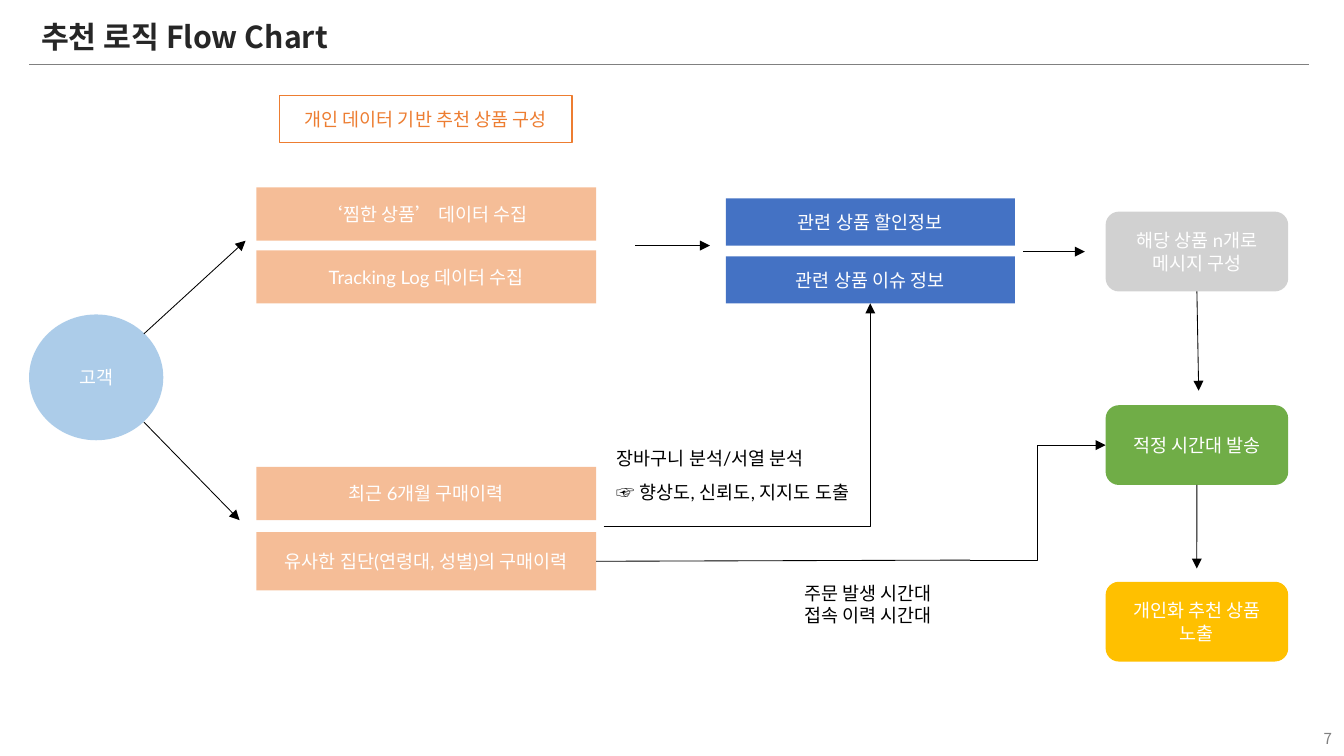
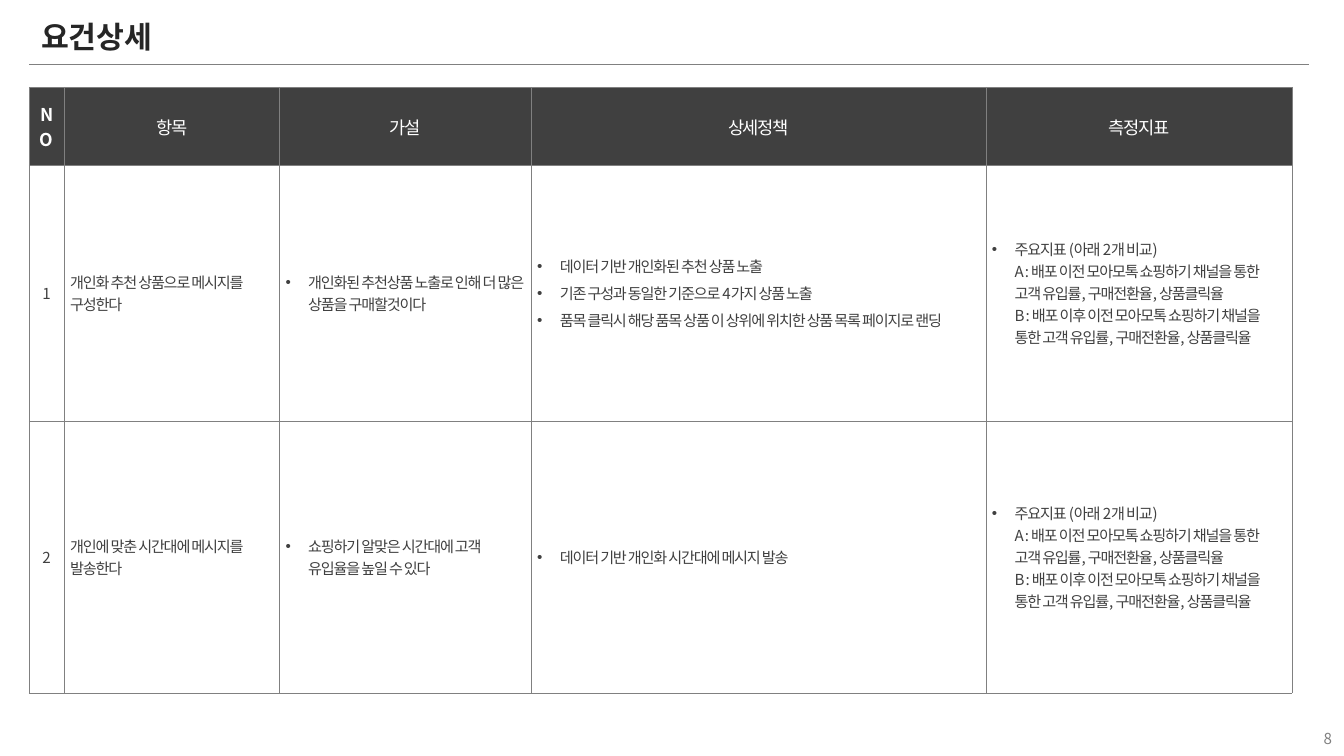
"""Build the recommendation flow chart and requirement detail slides."""
from copy import deepcopy
from dataclasses import dataclass
from typing import NamedTuple, Optional

from lxml.etree import SubElement
from pptx import Presentation
from pptx.dml.color import RGBColor
from pptx.enum.shapes import MSO_CONNECTOR as Connector, MSO_SHAPE as Preset
from pptx.enum.text import MSO_ANCHOR as Anchor, MSO_AUTO_SIZE as AutoSize, PP_ALIGN as Align
from pptx.oxml.ns import qn
from pptx.util import Pt

WHITE = RGBColor(0xFF, 0xFF, 0xFF)
BLACK = RGBColor(0x00, 0x00, 0x00)
TITLE_INK = RGBColor(0x26, 0x26, 0x26)
CELL_INK = RGBColor(0x40, 0x40, 0x40)
GRAY = RGBColor(0x80, 0x80, 0x80)
SILVER = RGBColor(0xA5, 0xA5, 0xA5)
SKY = RGBColor(0x5B, 0x9B, 0xD5)
ORANGE = RGBColor(0xED, 0x7D, 0x31)
BLUE = RGBColor(0x44, 0x72, 0xC4)
GOLD = RGBColor(0xFF, 0xC0, 0x00)
GREEN = RGBColor(0x70, 0xAD, 0x47)

LATIN_FONT = "Lato"
KOREAN_FONT = "Noto Sans CJK KR"
LEFT = 17.3
TOP, LEFT_SIDE, BOTTOM, RIGHT_SIDE = range(4)


class TextStyle(NamedTuple):
    """Character formatting of a run."""
    size: float
    color: RGBColor
    font: str = KOREAN_FONT
    bold: bool = False
    spacing: int = 0


TITLE = TextStyle(18, TITLE_INK, bold=True)
PAGE_NUMBER = TextStyle(9, GRAY)
NOTE = TextStyle(11, BLACK, LATIN_FONT)
NODE = TextStyle(11, WHITE, LATIN_FONT)
HEADING = TextStyle(11, ORANGE, LATIN_FONT)
HEADER_CELL = TextStyle(10.5, WHITE, spacing=-70)
NUMBER_HEADER = HEADER_CELL._replace(bold=True)
BODY_CELL = TextStyle(9, CELL_INK, spacing=-70)


@dataclass
class Node:
    """A labelled box of the flow chart."""
    key: str
    text: str
    left: float
    top: float
    width: float
    height: float
    fill: Optional[RGBColor]
    preset: Preset = Preset.RECTANGLE
    half_clear: bool = False
    style: TextStyle = NODE


@dataclass
class Link:
    """A connector, optionally joined to node sides."""
    start: tuple[float, float]
    end: tuple[float, float]
    begin_at: Optional[tuple[str, int]] = None
    end_at: Optional[tuple[str, int]] = None
    elbow: str = ""
    arrow: bool = True


class Label(NamedTuple):
    """A free text box."""
    text: str
    left: float
    top: float
    width: float
    height: float


class Requirement(NamedTuple):
    """One row of the requirement table."""
    number: str
    item: str
    hypothesis: str
    policies: str
    metrics: tuple[str, ...]


def source(key: str, text: str, top: float, height: float = 31.7) -> Node:
    """Return a data source box."""
    return Node(key, text, 152.6, top, 202.3, height, ORANGE, half_clear=True)


def related(key: str, text: str, top: float) -> Node:
    """Return a related product box."""
    return Node(key, text, 432, top, 172.1, 28.1, BLUE)


def delivery(key: str, text: str, top: float, fill: RGBColor, half_clear: bool = False) -> Node:
    """Return a rounded delivery box."""
    return Node(key, text, 658.1, top, 108.7, 47.5, fill, Preset.ROUNDED_RECTANGLE, half_clear)


NODES = [
    Node("customer", "고객", LEFT, 187.2, 79.9, 74.9, SKY, Preset.OVAL, True),
    Node("heading", "개인 데이터 기반 추천 상품 구성", 166.3, 56.9, 174.2, 28.1, None, style=HEADING),
    source("wished", "‘찜한 상품’ 데이터 수집", 111.6),
    source("tracking", "Tracking Log 데이터 수집", 149),
    source("recent", "최근 6개월 구매이력", 277.9),
    source("similar", "유사한 집단(연령대, 성별)의 구매이력", 316.8, 34.6),
    related("discount", "관련 상품 할인정보", 118.1),
    related("issue", "관련 상품 이슈 정보", 152.6),
    delivery("message", "해당 상품 n개로 메시지 구성", 126, SILVER, True),
    delivery("send", "적정 시간대 발송", 241.2, GREEN),
    delivery("exposure", "개인화 추천 상품 노출", 346.3, GOLD),
]
LINKS = [
    Link((85.7, 198.7), (146.2, 143.3)),
    Link((85.7, 251.3), (142.6, 309.6)),
    Link((378, 146.2), (422.6, 146.2)),
    Link((609.1, 149.8), (645.8, 149.8)),
    Link((359.3, 313.2), (518, 180.7), end_at=("issue", BOTTOM), elbow="bentConnector2"),
    Link((354.9, 334.1), (577.4, 333.4), begin_at=("similar", RIGHT_SIDE), arrow=False),
    Link((577.4, 333.4), (658.1, 265), end_at=("send", LEFT_SIDE), elbow="bentConnector3"),
    Link((712.4, 173.5), (713.5, 232.6), begin_at=("message", BOTTOM)),
    Link((712.4, 288.7), (712.4, 338.4), begin_at=("send", BOTTOM)),
]
LABELS = [
    Label("장바구니 분석/서열 분석", 360, 262.8, 195.8, 20.9),
    Label("☞ 향상도, 신뢰도, 지지도 도출", 360, 283, 222.5, 20.9),
    Label("주문 발생 시간대\n접속 이력 시간대", 471.6, 342.7, 161.3, 33.8),
]

COLUMN_WIDTHS = [20.9, 128.2, 149.8, 270.7, 182.2]
ROW_HEIGHTS = [46.8, 151.9, 162]
HEADERS = ["NO", "항목", "가설", "상세정책", "측정지표"]
METRICS = (
    "주요지표 (아래 2개 비교)",
    "A : 배포 이전 모아모톡 쇼핑하기 채널을 통한 고객 유입률, 구매전환율, 상품클릭율",
    "B : 배포 이후 이전 모아모톡 쇼핑하기 채널을 통한 고객 유입률, 구매전환율, 상품클릭율",
)
REQUIREMENTS = [
    Requirement(
        "1",
        "개인화 추천 상품으로 메시지를 구성한다",
        "개인화된 추천상품 노출로 인해 더 많은 상품을 구매할것이다",
        "데이터 기반 개인화된 추천 상품 노출\n"
        "기존 구성과 동일한 기준으로 4가지 상품 노출\n"
        "품목 클릭시 해당 품목 상품 이 상위에 위치한 상품 목록 페이지로 랜딩",
        METRICS,
    ),
    Requirement(
        "2",
        "개인에 맞춘 시간대에 메시지를 발송한다",
        "쇼핑하기 알맞은 시간대에 고객 유입율을 높일 수 있다",
        "데이터 기반 개인화 시간대에 메시지 발송",
        METRICS,
    ),
]


def format_text(text_frame, style: TextStyle, align: Align = Align.LEFT) -> None:
    """Apply a text style to every run and line break."""
    for paragraph in text_frame.paragraphs:
        paragraph.alignment = align
        for run in paragraph.runs:
            run.font.size, run.font.bold = Pt(style.size), style.bold
            run.font.color.rgb, run.font.name = style.color, style.font
            properties = run.font._element
            SubElement(properties, qn("a:ea")).set("typeface", KOREAN_FONT)
            if style.spacing:
                properties.set("spc", str(style.spacing))
        for line_break in paragraph._p.findall(qn("a:br")):
            line_break.append(deepcopy(properties))


def add_label(slide, label: Label, style: TextStyle = NOTE, align: Align = Align.LEFT):
    """Add a wrapping text box and return its frame."""
    text_frame = slide.shapes.add_textbox(*map(Pt, label[1:])).text_frame
    text_frame.word_wrap = True
    text_frame.text = label.text
    format_text(text_frame, style, align)
    return text_frame


def add_node(slide, node: Node):
    """Add a flow chart box."""
    box = map(Pt, (node.left, node.top, node.width, node.height))
    shape = slide.shapes.add_shape(node.preset, *box)
    shape.shadow.inherit = False
    if node.fill is None:
        shape.fill.background()
        shape.line.color.rgb, shape.line.width = node.style.color, Pt(0.75)
    else:
        shape.fill.solid()
        shape.fill.fore_color.rgb = node.fill
        shape.line.fill.background()
    if node.half_clear:
        color = shape._element.spPr.find(qn("a:solidFill")).find(qn("a:srgbClr"))
        SubElement(color, qn("a:alpha")).set("val", "50000")
    shape.text_frame.text = node.text
    shape.text_frame.word_wrap = True
    shape.text_frame.vertical_anchor = Anchor.MIDDLE
    format_text(shape.text_frame, node.style, Align.CENTER)
    return shape


def add_link(slide, link: Link, nodes: dict, color: RGBColor = BLACK) -> None:
    """Add a thin connector."""
    kind = Connector.ELBOW if link.elbow else Connector.STRAIGHT
    connector = slide.shapes.add_connector(kind, *map(Pt, link.start + link.end))
    if link.begin_at:
        connector.begin_connect(nodes[link.begin_at[0]], link.begin_at[1])
    if link.end_at:
        connector.end_connect(nodes[link.end_at[0]], link.end_at[1])
    connector.line.color.rgb, connector.line.width = color, Pt(0.5)
    properties = connector._element.spPr
    if link.elbow:
        properties.find(qn("a:prstGeom")).set("prst", link.elbow)
    if link.arrow:
        SubElement(properties.find(qn("a:ln")), qn("a:tailEnd")).set("type", "triangle")
    SubElement(properties, qn("a:effectLst"))


def add_titled_slide(presentation, title: str, number: int):
    """Add a slide with its title, rule and page number."""
    slide = presentation.slides.add_slide(presentation.slide_layouts[5])
    shape = slide.shapes.title
    shape.left, shape.top, shape.width, shape.height = map(Pt, (LEFT, 8.6, 509, 26.6))
    shape.text_frame.text = title
    shape.text_frame.vertical_anchor = Anchor.MIDDLE
    shape.text_frame.auto_size = AutoSize.NONE
    format_text(shape.text_frame, TITLE)
    add_link(slide, Link((LEFT, 38.2), (779, 38.2), arrow=False), {}, GRAY)
    page = Label(str(number), 620, 424.8, 180, 23.8)
    add_label(slide, page, PAGE_NUMBER, Align.RIGHT).vertical_anchor = Anchor.BOTTOM
    return slide


def fill_cell(cell, text, fill: RGBColor, style: TextStyle, align: Align, bulleted: bool) -> None:
    """Write and format one bordered table cell."""
    properties = cell._tc.get_or_add_tcPr()
    for side in ("a:lnL", "a:lnR", "a:lnT", "a:lnB"):
        border = SubElement(properties, qn(side), w=str(Pt(0.25)))
        color = SubElement(SubElement(border, qn("a:solidFill")), qn("a:srgbClr"))
        color.set("val", str(GRAY))
    cell.fill.solid()
    cell.fill.fore_color.rgb = fill
    cell.vertical_anchor = Anchor.MIDDLE
    cell.margin_left = cell.margin_right = cell.margin_top = cell.margin_bottom = Pt(3.6)
    text_frame = cell.text_frame
    if isinstance(text, tuple):
        text_frame.paragraphs[0].text = "\n".join(text)
    else:
        text_frame.text = text
    for index, paragraph in enumerate(text_frame.paragraphs):
        if bulleted:
            layout = paragraph._p.get_or_add_pPr()
            layout.set("marL", str(Pt(13.5)))
            layout.set("indent", str(-Pt(13.5)))
            SubElement(layout, qn("a:buFont")).set("typeface", "Arial")
            SubElement(layout, qn("a:buChar")).set("char", "•")
        if index:
            paragraph.space_before = Pt(3)
    format_text(text_frame, style, align)


def add_requirement_table(slide) -> None:
    """Add the requirement table."""
    size = (sum(COLUMN_WIDTHS), sum(ROW_HEIGHTS))
    frame = slide.shapes.add_table(len(ROW_HEIGHTS), len(HEADERS), *map(Pt, (LEFT, 51.8, *size)))
    table = frame.table
    table.first_row = table.horz_banding = False
    for column, width in zip(table.columns, COLUMN_WIDTHS):
        column.width = Pt(width)
    for row, height in zip(table.rows, ROW_HEIGHTS):
        row.height = Pt(height)
    for index, header in enumerate(HEADERS):
        style = HEADER_CELL if index else NUMBER_HEADER
        fill_cell(table.cell(0, index), header, CELL_INK, style, Align.CENTER, False)
        for row, requirement in enumerate(REQUIREMENTS, 1):
            align = Align.LEFT if index else Align.CENTER
            fill_cell(table.cell(row, index), requirement[index], WHITE, BODY_CELL, align, index > 1)


def main() -> None:
    """Build and save the presentation."""
    presentation = Presentation()
    presentation.slide_width, presentation.slide_height = Pt(800), Pt(450)
    flow = add_titled_slide(presentation, "추천 로직 Flow Chart", 7)
    nodes = {node.key: add_node(flow, node) for node in NODES}
    for link in LINKS:
        add_link(flow, link, nodes)
    for label in LABELS:
        add_label(flow, label)
    add_requirement_table(add_titled_slide(presentation, "요건상세", 8))
    presentation.save("out.pptx")


if __name__ == "__main__":
    main()
